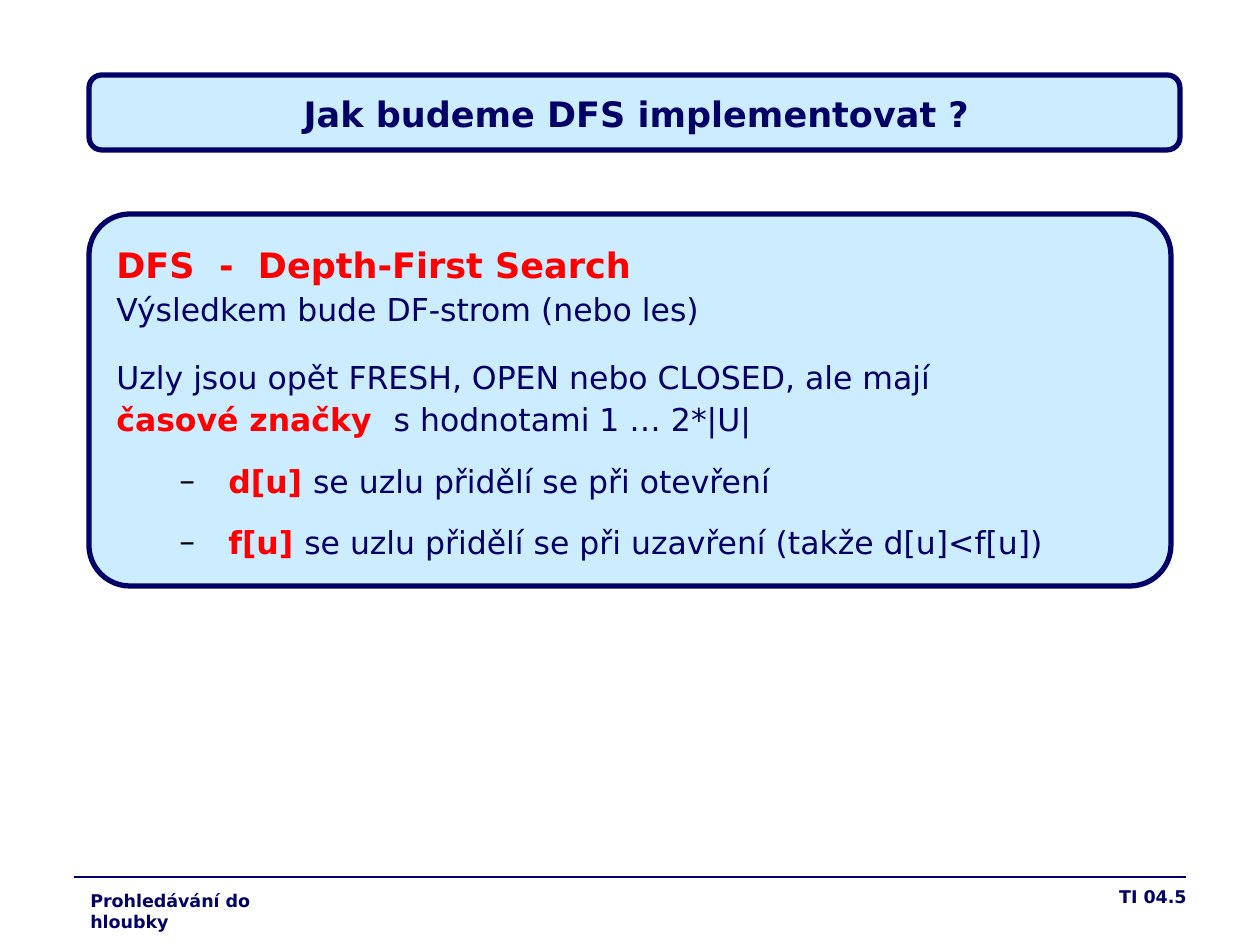
from dataclasses import dataclass

from lxml.etree import SubElement
from pptx import Presentation
from pptx.dml.color import RGBColor
from pptx.enum.shapes import MSO_CONNECTOR, MSO_SHAPE
from pptx.enum.text import MSO_ANCHOR, MSO_AUTO_SIZE, PP_ALIGN
from pptx.oxml.ns import qn
from pptx.util import Emu, Pt

PX_PER_INCH = 126


def px(length):
    return Emu(round(length * 914400 / PX_PER_INCH))


@dataclass(frozen=True)
class Theme:
    font: str = "DejaVu Sans"
    navy: str = "000066"
    red: str = "FF0000"
    black: str = "000000"
    panel: str = "CCECFF"
    heading: int = 20
    body: int = 18
    footer: int = 10
    frame_line: float = 3
    rule_line: float = 0.75


class SlideBuilder:
    def __init__(self, page, theme):
        self.page = page
        self.theme = theme

    def style(self, font, size, color, bold=False):
        font.name = self.theme.font
        font.size = Pt(size)
        font.bold = bold
        font.color.rgb = RGBColor.from_string(color)

    def frame(self, left, top, width, height, rounding):
        box = self.page.shapes.add_shape(
            MSO_SHAPE.ROUNDED_RECTANGLE, px(left), px(top), px(width), px(height))
        box.adjustments[0] = rounding
        box.shadow.inherit = False
        box.fill.solid()
        box.fill.fore_color.rgb = RGBColor.from_string(self.theme.panel)
        box.line.color.rgb = RGBColor.from_string(self.theme.navy)
        box.line.width = Pt(self.theme.frame_line)

    def title(self, text, left, top, width, height):
        box = self.page.shapes.title
        box.left, box.top, box.width, box.height = map(px, (left, top, width, height))
        box.fill.solid()
        box.fill.fore_color.rgb = RGBColor.from_string(self.theme.panel)
        frame = box.text_frame
        frame.text = text
        frame.auto_size = MSO_AUTO_SIZE.NONE
        frame.vertical_anchor = MSO_ANCHOR.MIDDLE
        para = frame.paragraphs[0]
        para.alignment = PP_ALIGN.CENTER
        self.style(para.runs[0].font, self.theme.heading, self.theme.navy, True)
        box.element.getparent().append(box.element)

    def rule(self, left, right, y):
        line = self.page.shapes.add_connector(
            MSO_CONNECTOR.STRAIGHT, px(left), px(y), px(right), px(y))
        line.line.color.rgb = RGBColor.from_string(self.theme.navy)
        line.line.width = Pt(self.theme.rule_line)
        SubElement(line.element.spPr, qn("a:effectLst"))

    def text_box(self, left, top, width, height):
        box = self.page.shapes.add_textbox(px(left), px(top), px(width), px(height))
        box.text_frame.word_wrap = True
        return box.text_frame

    def footer(self, text, left, top, width, height, alignment):
        frame = self.text_box(left, top, width, height)
        frame.text = text
        para = frame.paragraphs[0]
        para.alignment = alignment
        self.style(para.runs[0].font, self.theme.footer, self.theme.navy, True)

    def dash(self, para, margin, hanging):
        properties = para._p.get_or_add_pPr()
        properties.set("marL", str(px(margin)))
        properties.set("indent", str(-px(hanging)))
        color = SubElement(properties, qn("a:buClr"))
        SubElement(color, qn("a:srgbClr")).set("val", self.theme.black)
        SubElement(properties, qn("a:buFont")).set("typeface", self.theme.font)
        SubElement(properties, qn("a:buChar")).set("char", "–")

    def body(self, rows, left, top, width, height):
        frame = self.text_box(left, top, width, height)
        for index, (marked, plain, size, spacing, before, bulleted) in enumerate(rows):
            para = frame.add_paragraph() if index else frame.paragraphs[0]
            if bulleted:
                self.dash(para, 112, 49)
            para.line_spacing = spacing
            para.space_before = Pt(before)
            for text, color, bold in ((marked, self.theme.red, True),
                                      (plain, self.theme.navy, False)):
                if text:
                    span = para.add_run()
                    span.text = text
                    self.style(span.font, size, color, bold)


def main():
    deck = Presentation()
    deck.slide_width, deck.slide_height = px(1260), px(945)
    theme = Theme()
    slide = SlideBuilder(deck.slides.add_slide(deck.slide_layouts[5]), theme)

    slide.rule(74, 1186, 877)
    slide.footer("TI 04.5", 937, 880, 262, 45, PP_ALIGN.RIGHT)

    slide.frame(89, 214, 1082, 372, 0.11)
    rows = [
        ("DFS  -  Depth-First Search", "", theme.heading, 0.9, 0, False),
        ("", "Výsledkem bude DF-strom (nebo les)", theme.body, 0.9, 4.5, False),
        ("", "Uzly jsou opět FRESH, OPEN nebo CLOSED, ale mají",
         theme.body, 1.6, 4.5, False),
        ("časové značky  ", "s hodnotami 1 … 2*|U|", theme.body, 0.9, 4.5, False),
        ("d[u] ", "se uzlu přidělí se při otevření", theme.body, 1.0, 13.5, True),
        ("f[u] ", "se uzlu přidělí se při uzavření (takže d[u]<f[u])",
         theme.body, 1.0, 13.5, True),
    ]
    slide.body(rows, 104, 242, 1061, 328)

    slide.frame(89, 75, 1091, 75, 0.17)
    slide.title("Jak budeme DFS implementovat ?", 123, 86, 1027, 55)
    slide.footer("Prohledávání do hloubky", 78, 884, 242, 34, PP_ALIGN.LEFT)

    deck.save("out.pptx")


if __name__ == "__main__":
    main()
